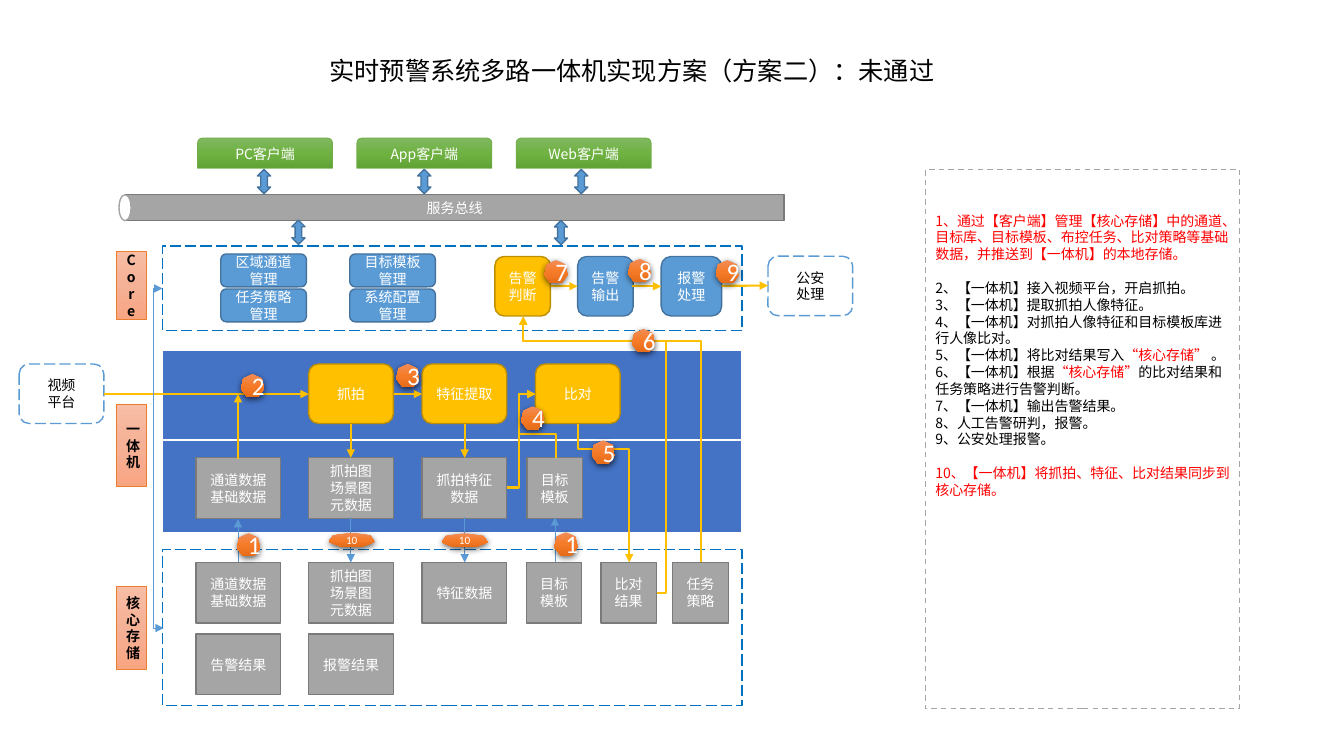
from pptx import Presentation
from pptx.dml.color import RGBColor as RGB
from pptx.enum.dml import MSO_LINE as DASH
from pptx.enum.shapes import MSO_CONNECTOR as LINK, MSO_SHAPE as KIND
from pptx.enum.text import MSO_ANCHOR as ANCHOR, PP_ALIGN as ALIGN
from pptx.oxml import parse_xml
from pptx.oxml.ns import nsdecls, qn
from pptx.util import Pt
from lxml.etree import SubElement

HUES = {
    "white": "FFFFFF", "black": "000000", "red": "FF0000",
    "gray": "A5A5A5", "slate": "7A7A7A", "gold": "FFC000", "amber": "BD8E00",
    "blue": "5B9BD5", "steel": "43739E", "royal": "4472C4", "edge": "0070C0",
    "orange": "ED7D31", "green": "70AD47",
}
FADES = {
    "peach": ("F7BDA5", "F5B196", "F8A582"),
    "leaf": ("81B861", "6FB242", "62A336"),
    "fire": ("F18C57", "F67B28", "E56C19"),
}
CJK = "Noto Sans CJK SC"

deck = Presentation()
deck.slide_width, deck.slide_height = Pt(960), Pt(540)
slide = deck.slides.add_slide(deck.slide_layouts[6])
items = slide.shapes


def box(kind, x, y, w, h, text="", fill=None, line=None, weight=1, dash=None,
        inks=("white",), size=10, bold=False, font=CJK):
    """Add a shape, or a text box if kind is None; "|" moves to the next ink."""
    spot = Pt(x), Pt(y), Pt(w), Pt(h)
    shape = items.add_shape(kind, *spot) if kind else items.add_textbox(*spot)
    if kind:
        shape.shadow.inherit = False
    if fill in FADES:
        shape.fill.background()
        stops = "".join(f'<a:gs pos="{i * 50000}"><a:srgbClr val="{hue}"/></a:gs>'
                        for i, hue in enumerate(FADES[fill]))
        props = shape.element.spPr
        props.replace(props.find(qn("a:noFill")), parse_xml(
            f'<a:gradFill {nsdecls("a")}><a:gsLst>{stops}</a:gsLst>'
            '<a:lin ang="5400000" scaled="0"/></a:gradFill>'))
    elif fill:
        shape.fill.solid()
        shape.fill.fore_color.rgb = RGB.from_string(HUES[fill])
    if line:
        shape.line.color.rgb = RGB.from_string(HUES[line])
        shape.line.width = Pt(weight)
        if dash:
            shape.line.dash_style = dash
    else:
        shape.line.fill.background()
    frame = shape.text_frame
    for i, part in enumerate(text.split("\n") if text else []):
        para = frame.add_paragraph() if i else frame.paragraphs[0]
        para.alignment = ALIGN.CENTER
        for j, words in enumerate(part.split("|")):
            if not words:
                continue
            run = para.add_run()
            run.text = words
            run.font.size, run.font.bold, run.font.name = Pt(size), bold, font
            run.font.color.rgb = RGB.from_string(HUES[inks[j % len(inks)]])
            SubElement(run.font._element, qn("a:ea")).set("typeface", font)
    return shape


def wire(x1, y1, x2, y2, hue="gold", weight=1.5, form=None, turn=0, bends=(),
         both=False):
    """Add an arrow; form, turn and bends shape an elbow in its unturned frame."""
    link = items.add_connector(LINK.ELBOW if form else LINK.STRAIGHT,
                               Pt(x1), Pt(y1), Pt(x2), Pt(y2))
    link.line.color.rgb = RGB.from_string(HUES[hue])
    link.line.width = Pt(weight)
    props = link.element.spPr
    for end in ("headEnd", "tailEnd") if both else ("tailEnd",):
        SubElement(props.find(qn("a:ln")), qn("a:" + end)).set("type", "triangle")
    SubElement(props, qn("a:effectLst"))
    if form:
        props.find(qn("a:xfrm")).set("rot", str(turn * 60000))
        geom = props.find(qn("a:prstGeom"))
        geom.set("prst", form)
        for i, bend in enumerate(bends, 1):
            guide = SubElement(geom.find(qn("a:avLst")), qn("a:gd"))
            guide.set("name", f"adj{i}")
            guide.set("fmla", f"val {round(bend * 100000)}")


# Title and layer panels
title = box(None, 228.2, 36, 446.4, 28.8, "实时预警系统多路一体机实现方案（方案二）：未通过",
            inks=("black",), size=18)
title.text_frame.word_wrap = False
for y, h in ((392.4, 111.6), (175.7, 60.5)):
    box(KIND.RECTANGLE, 116, y, 414, h, fill="white", line="edge", dash=DASH.LONG_DASH)
for y, h in ((314.6, 66.2), (249.8, 64.8)):
    box(KIND.RECTANGLE, 116, y, 414, h, fill="royal", line="white", weight=1.5)
for y, h, text in ((179.3, 49, "Core"), (288.7, 59, "一体机"), (419, 59, "核心\n存储")):
    box(KIND.RECTANGLE, 83, y, 21.6, h, text, "peach", "orange", 0.5,
        inks=("black",), bold=True)

# Clients and service bus
for i, name in enumerate(("PC", "App", "Web")):
    box(KIND.ROUND_2_SAME_RECTANGLE, 141.1 + i * 113.8, 98.6, 96.5, 21.6,
        name + "客户端", "leaf", "green", 0.5)
box(KIND.RECTANGLE, 89.3, 139, 470.9, 18.7, "服务总线", "gray", "slate")
box(KIND.OVAL, 85, 139, 8.6, 18.7, fill="white", line="gray")
for x, y in ((183.9, 121), (298.4, 121), (410.5, 121), (208.5, 157.3), (396, 157.5)):
    box(KIND.UP_DOWN_ARROW, x, y, 9.4, 17.3, fill="blue", line="steel")

# Core functions
for x, y, text in ((157.7, 181.4, "区域通道管理"), (249.8, 181.4, "目标模板管理"),
                   (157.7, 206.4, "任务策略管理"), (249.8, 206.4, "系统配置管理")):
    box(KIND.ROUNDED_RECTANGLE, x, y, 61.2, 23.5, text, "blue", "steel")
for x, w, text, fill, line in ((353.5, 39.6, "告警判断", "gold", "amber"),
                               (412.6, 39.6, "告警输出", "blue", "steel"),
                               (472.3, 43.2, "报警处理", "blue", "steel")):
    box(KIND.ROUNDED_RECTANGLE, x, 183.2, w, 42.5, text, fill, line)
for x, y, text in ((13.7, 260, "视频\n平台"), (548.6, 183, "公安\n处理")):
    box(KIND.ROUNDED_RECTANGLE, x, y, 60.5, 42.5, text, "white", "blue",
        dash=DASH.LONG_DASH, inks=("black",))

# Processing steps and data stores
for x, text in ((220.5, "抓拍"), (301.5, "特征提取"), (382.5, "比对")):
    box(KIND.ROUNDED_RECTANGLE, x, 260, 60.5, 42.5, text, "gold", "amber")
shots, basics = "抓拍图\n场景图\n元数据", "通道数据\n基础数据"
stores = {
    327: ((140, 60.5, basics), (220.5, 60.5, shots), (301.5, 60.5, "抓拍特征数据"),
          (376.4, 39.6, "目标模板")),
    401.8: ((140, 60.5, basics), (220.5, 60.5, shots), (301.5, 60.5, "特征数据"),
            (376, 39.6, "目标模板"), (429.2, 39.6, "比对\n结果"), (480.2, 40.3, "任务\n策略")),
    453: ((140, 60.5, "告警结果"), (220.5, 60.5, "报警结果")),
}
for y, row in stores.items():
    for x, w, text in row:
        box(KIND.RECTANGLE, x, y, w, 43.2, text, "gray", "slate")

# Flow arrows
for ends in ((74.2, 281.5, 220.5, 281.5), (281.5, 281.5, 301.5, 281.5),
             (250.6, 303, 250.6, 327), (331.9, 303, 331.9, 327),
             (170, 327.6, 170, 281.5), (393.5, 204.5, 412.6, 204.5),
             (451.5, 204.5, 472.3, 204.5), (515.5, 204.2, 548.6, 204)):
    wire(*ends)
for x, start, end in ((170, 401.8, 370.8), (250.6, 369.6, 401.8),
                      (331.9, 369.6, 401.8), (396.4, 401.8, 369.6)):
    wire(x, start, x, end, "blue", 0.5)
wire(116, 206, 117, 448.6, "blue", 0.5, "bentConnector3", 180, (7.6,), both=True)
wire(480.4, 334, 381.8, 370.8, form="bentConnector3", turn=270, bends=(0.18,))
wire(362.2, 348.2, 382.5, 281.5, form="bentConnector3", bends=(0.43,))
wire(367, 311.4, 412.4, 297, form="bentConnector4", turn=270, bends=(0.37, 1.81))
wire(469.4, 423.4, 373.7, 226.1, form="bentConnector4", bends=(-0.07, 0.91))
wire(349.3, 377.2, 525, 250.6, form="bentConnector3", turn=270, bends=(0.9,))

# Step badges
steps = [(172.1, 267.1, 2), (169.2, 380.9, 1), (396, 380.2, 1), (283, 259.9, 3),
         (372.2, 290.2, 4), (422.6, 314.6, 5), (451.4, 235, 6), (388.8, 185.8, 7),
         (448.6, 185, 8), (511.2, 185.8, 9), (234.7, 380.5, 10), (315.4, 380.9, 10)]
for x, y, step in steps:
    w, h, size = (33.1, 10.1, 8) if step == 10 else (16.6, 16.6, 18)
    badge = box(KIND.HEPTAGON, x, y, w, h, str(step), "fire", size=size, font="Calibri")
    badge.element.spPr.find(qn("a:effectLst")).append(parse_xml(
        f'<a:outerShdw {nsdecls("a")} blurRad="{Pt(4.5)}" dist="{Pt(1.5)}" dir="5400000" '
        'rotWithShape="0"><a:srgbClr val="000000"><a:alpha val="63000"/></a:srgbClr>'
        '</a:outerShdw>'))

# Step notes
notes = [
    "|1、通过【客户端】管理【核心存储】中的通道、目标库、目标模板、布控任务、比对策略等基础数据，并推送到【一体机】的本地存储。",
    "2、【一体机】接入视频平台，开启抓拍。",
    "3、【一体机】提取抓拍人像特征。",
    "4、【一体机】对抓拍人像特征和目标模板库进行人像比对。",
    "5、【一体机】将比对结果写入|“核心存储” |。",
    "6、【一体机】根据|“核心存储”|的比对结果和任务策略进行告警判断。",
    "7、【一体机】输出告警结果。",
    "8、人工告警研判，报警。",
    "9、公安处理报警。",
    "|10、【一体机】将抓拍、特征、比对结果同步到核心存储。",
]
panel = box(KIND.RECTANGLE, 661, 121, 224.6, 385.2, "\n".join(notes), "white", "gray",
            dash=DASH.DASH, inks=("black", "red"))
frame = panel.text_frame
frame.vertical_anchor, frame.margin_top = ANCHOR.TOP, Pt(30.5)
for para in frame.paragraphs:
    para.alignment = ALIGN.LEFT
for i in (1, 9):
    frame.paragraphs[i].space_before = Pt(12)

deck.save("out.pptx")
